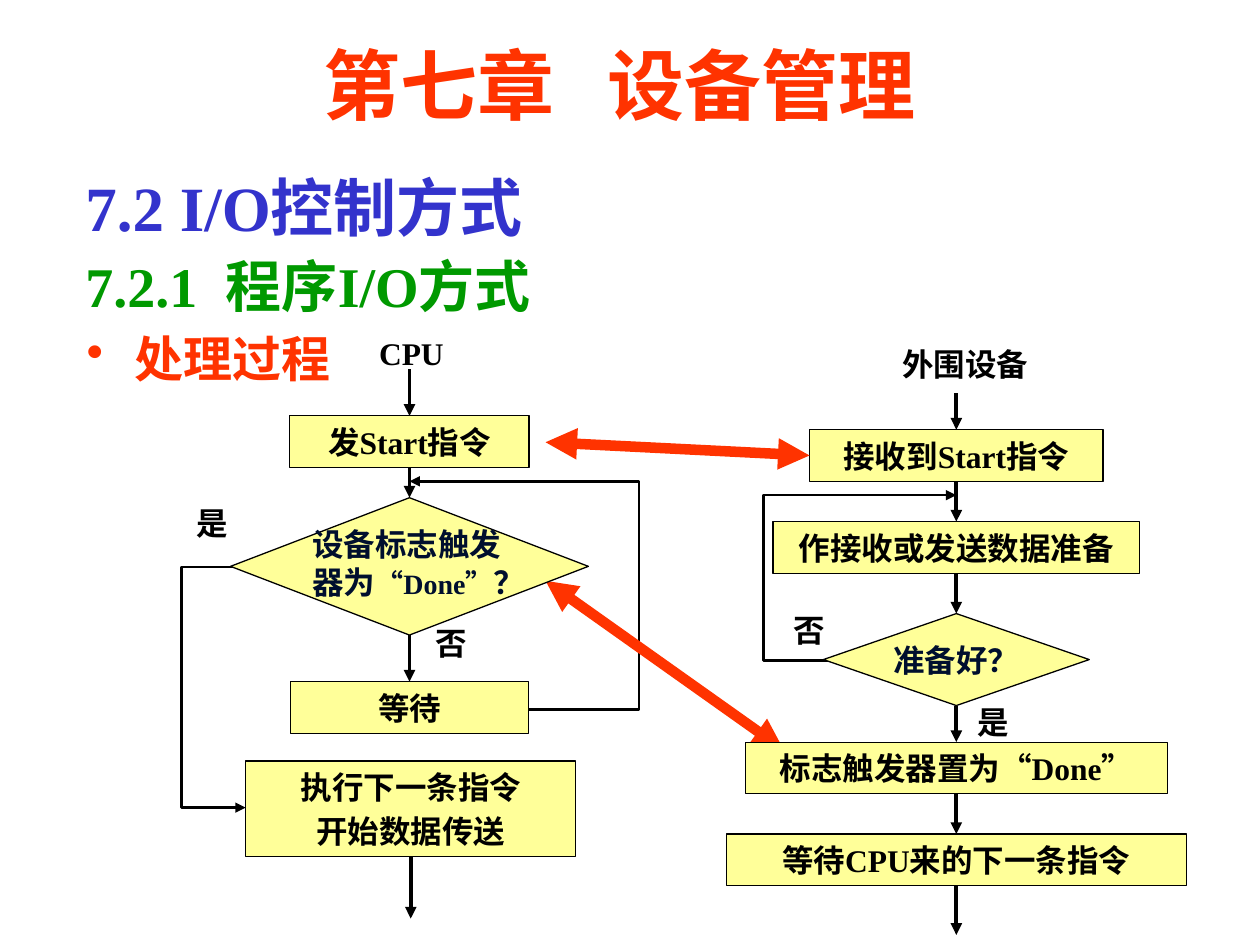
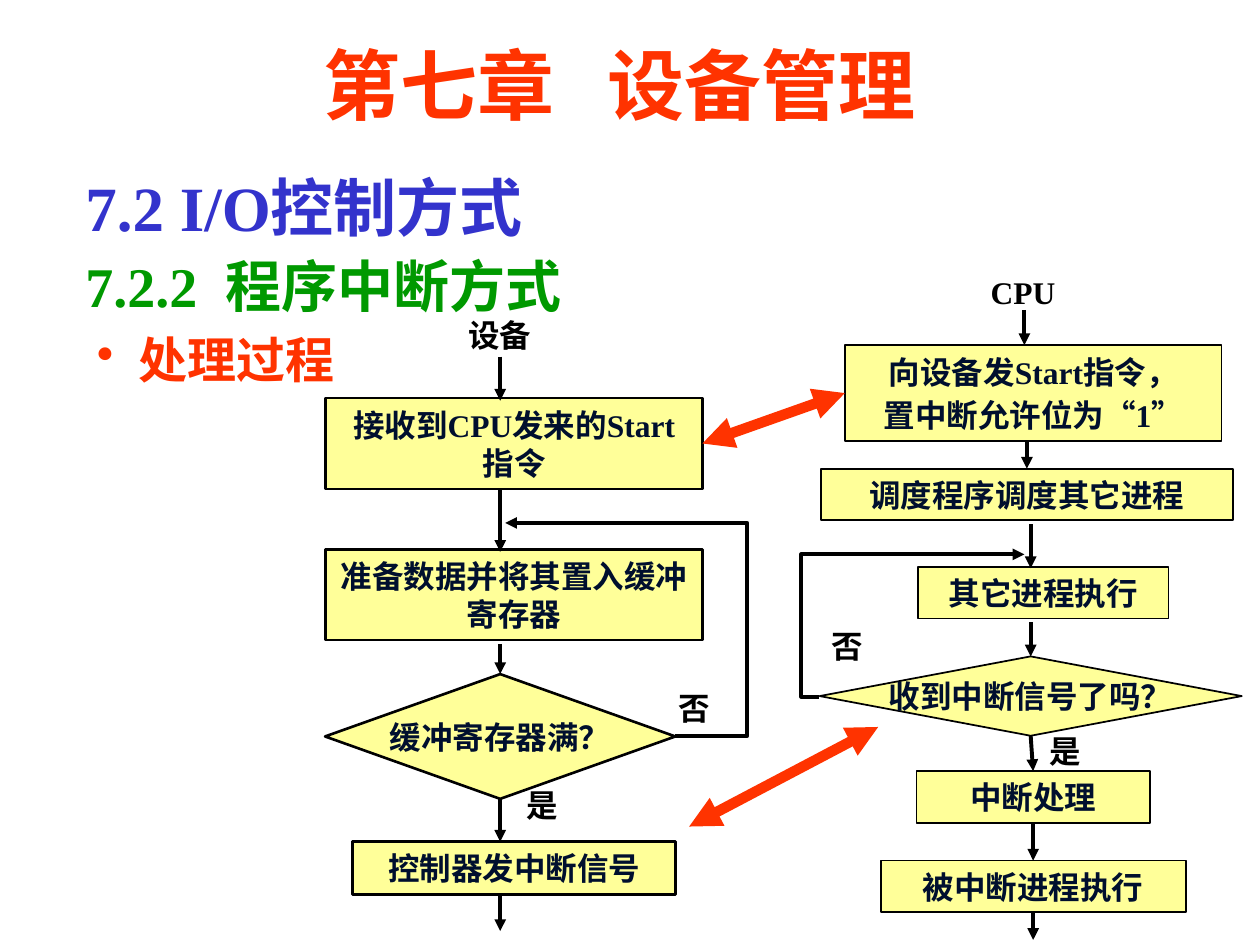
from lxml import etree
from pptx import Presentation
from pptx.dml.color import RGBColor
from pptx.enum import shapes, text
from pptx.oxml.ns import qn
from pptx.util import Inches, Pt

BLACK, NAVY, RED = "000000", "000F2E", "FF3300"
BLUE, GREEN, CREAM = "3333CC", "009900", "FFFF99"
FONT = "Times New Roman"
TOP, LEFT, FOOT, RIGHT = range(4)  # connection sites
MID = text.PP_ALIGN.CENTER


def rgb(code):
    return RGBColor.from_string(code)


def add_run(par, words, size=18, hue=BLACK):
    run = par.add_run()
    run.text = words
    font = run.font
    font.name, font.size, font.bold = FONT, Pt(size), True
    font.color.rgb = rgb(hue)


def set_line(shape, width, hue=BLACK, head=False, tail=False):
    """Style an outline; head and tail are arrowheads at its start and end."""
    shape.line.color.rgb = rgb(hue)
    shape.line.width = Pt(width)
    for tag, shown in (("a:headEnd", head), ("a:tailEnd", tail)):
        if shown:
            etree.SubElement(shape.line._get_or_add_ln(), qn(tag), type="triangle")


class Board:
    def __init__(self):
        self.deck = Presentation()
        self.deck.slide_width, self.deck.slide_height = Inches(10), Inches(7.5)

    def start(self, topic, left, top, indent):
        """Open a slide with the chapter title, section heads and bullet."""
        self.slide = self.deck.slides.add_slide(self.deck.slide_layouts[5])
        self.items = self.slide.shapes
        title = self.items.title
        title.left, title.top = Inches(1.17), Inches(0.25)
        title.width, title.height = Inches(7.5), Inches(0.83)
        frame = title.text_frame
        frame.auto_size = text.MSO_AUTO_SIZE.NONE
        frame.vertical_anchor = text.MSO_ANCHOR.MIDDLE
        par = frame.paragraphs[0]
        par.alignment = MID
        add_run(par, "第七章   设备管理", 44, RED)

        par = self.area(0.58, 1.23, 8.75, 1.35)
        par.line_spacing = 1.1
        add_run(par, "7.2 I/O控制方式", 36, BLUE)
        par.add_line_break()
        add_run(par, topic, 32, GREEN)

        par = self.area(left, top, 2.14, 0.57)
        props = par._p.get_or_add_pPr()
        props.set("marL", str(Inches(indent)))
        props.set("indent", str(-Inches(indent)))
        etree.SubElement(props, qn("a:buChar"), char="•")
        add_run(par, "处理过程", 28, RED)

    def area(self, left, top, wide, high, pad=None):
        """Add a wrapped text box and return its first paragraph."""
        spot = self.items.add_textbox(*map(Inches, (left, top, wide, high)))
        frame = spot.text_frame
        frame.word_wrap = True
        if pad is not None:
            frame.margin_left = frame.margin_right = Inches(pad)
            frame.margin_top = frame.margin_bottom = Inches(pad)
        return frame.paragraphs[0]

    def label(self, left, top, wide, words, align=None):
        par = self.area(left, top, wide, 0.4)
        par.alignment = align
        add_run(par, words)

    def node(self, kind, mid, top, wide, high, lines, edge, ink):
        """Add a filled shape centred on the column at mid."""
        shape = self.items.add_shape(
            kind, *map(Inches, (mid - wide / 2, top, wide, high)))
        shape.shadow.inherit = False
        shape.fill.solid()
        shape.fill.fore_color.rgb = rgb(CREAM)
        set_line(shape, edge)
        frame = shape.text_frame
        frame.word_wrap = kind == shapes.MSO_SHAPE.RECTANGLE
        frame.vertical_anchor = text.MSO_ANCHOR.MIDDLE
        for num, words in enumerate(lines):
            par = frame.add_paragraph() if num else frame.paragraphs[0]
            par.alignment = MID
            if num:
                par.space_before = Pt(3)
            add_run(par, words, hue=ink)
        return shape

    def box(self, mid, top, wide, *lines, high=0.41, edge=0.75, ink=BLACK):
        kind = shapes.MSO_SHAPE.RECTANGLE
        return self.node(kind, mid, top, wide, high, lines, edge, ink)

    def ask(self, mid, top, wide, high, *lines, edge=0.75):
        kind = shapes.MSO_SHAPE.DIAMOND
        return self.node(kind, mid, top, wide, high, lines, edge, NAVY)

    def arrow(self, begin, end, width=2.25, hue=BLACK, both=False):
        """Draw an arrow; each end is a point (x, y) or a pair (shape, site)."""
        ends = [(0, 0) if hasattr(a, "text_frame") else (a, b)
                for a, b in (begin, end)]
        line = self.items.add_connector(
            shapes.MSO_CONNECTOR.STRAIGHT,
            *(Inches(v) for point in ends for v in point))
        if hasattr(begin[0], "text_frame"):
            line.begin_connect(*begin)
        if hasattr(end[0], "text_frame"):
            line.end_connect(*end)
        set_line(line, width, hue, head=both, tail=True)
        etree.SubElement(line._element.spPr, qn("a:effectLst"))

    def signal(self, begin, end):
        self.arrow(begin, end, 6, RED, both=True)

    def chain(self, *nodes):
        for upper, lower in zip(nodes, nodes[1:]):
            self.arrow((upper, FOOT), (lower, TOP))

    def loop(self, begin, side, end, width=1.5):
        """Draw a three-part path that turns on the vertical at side."""
        points = [begin, (side, begin[1]), (side, end[1]), end]
        first, *rest = [(Inches(x), Inches(y)) for x, y in points]
        pen = self.items.build_freeform(*first)
        pen.add_line_segments(rest, close=False)
        shape = pen.convert_to_shape()
        shape.shadow.inherit = False
        shape.fill.background()
        set_line(shape, width, tail=True)


def polling(board):
    board.start("7.2.1  程序I/O方式", 0.59, 2.56, 0.38)
    cpu, dev = 3.25, 7.59
    board.loop((4.19, 5.63), 5.07, (cpu, 3.82))
    board.loop((6.57, 5.24), 6.06, (dev, 3.93))
    board.loop((1.85, 4.5), 1.44, (1.95, 6.41))
    board.signal((4.33, 4.61), (6.22, 5.95))

    send = board.box(cpu, 3.3, 1.9, "发Start指令")
    done = board.ask(cpu, 3.95, 2.84, 1.09)
    wait = board.box(cpu, 5.41, 1.89, "等待")
    move = board.box(3.26, 6.04, 2.62, "执行下一条指令", "开始数据传送", high=0.76)
    par = board.area(2.48, 4.17, 1.68, 0.6, pad=0)
    for words, size in (("设备标志触发器为", 18), ("“Done”", 16), ("？", 18)):
        add_run(par, words, size, NAVY)

    take = board.box(dev, 3.41, 2.33, "接收到Start指令")
    prep = board.box(dev, 4.14, 2.91, "作接收或发送数据准备")
    fit = board.ask(dev, 4.87, 2.11, 0.73, "准备好？")
    flag = board.box(dev, 5.89, 3.35, "标志触发器置为“Done”")
    idle = board.box(dev, 6.62, 3.65, "等待CPU来的下一条指令")

    board.arrow((cpu, 2.93), (send, TOP))
    board.chain(send, done, wait)
    board.arrow((move, FOOT), (3.26, 7.29))
    board.arrow((dev, 3.12), (take, TOP))
    board.chain(take, prep, fit, flag, idle)
    board.arrow((idle, FOOT), (dev, 7.42))
    board.signal((4.33, 3.51), (take, LEFT))

    board.label(2.72, 2.6, 1.09, "CPU", MID)
    board.label(6.93, 2.69, 1.46, "外围设备", MID)
    board.label(3.36, 4.9, 0.58, "否")
    board.label(1.46, 3.95, 0.51, "是")
    board.label(7.66, 5.53, 0.51, "是")
    board.label(6.2, 4.8, 0.58, "否")


def interrupt(board):
    board.start("7.2.2  程序中断方式", 0.67, 2.57, 0.33)
    dev, cpu = 3.97, 8.2
    board.loop((5.36, 5.84), 5.93, (4.01, 4.15), 2.25)
    board.loop((6.5, 5.53), 6.36, (8.13, 4.4), 2.25)

    thick = dict(edge=1.5, ink=NAVY)
    take = board.box(4.08, 3.16, 2.99, "接收到CPU发来的Start指令", high=0.72, **thick)
    board.box(4.08, 4.36, 2.99, "准备数据并将其置入缓冲寄存器", high=0.72, **thick)
    full = board.ask(dev, 5.35, 2.78, 0.99, "缓冲寄存器满？", edge=1.5)
    board.box(4.08, 6.68, 2.56, "控制器发中断信号", high=0.42, **thick)

    thin = dict(edge=1, ink=NAVY)
    send = board.box(cpu, 2.74, 2.99, "向设备发Start指令，", "置中断允许位为“1”",
                     high=0.76, **thin)
    plan = board.box(8.15, 3.72, 3.27, "调度程序调度其它进程", **thin)
    board.box(8.28, 4.5, 1.99, "其它进程执行", **thin)
    heard = board.ask(8.18, 5.21, 3.35, 0.63, "收到中断信号了吗？", edge=1)
    serve = board.box(cpu, 6.12, 1.85, "中断处理", **thin)
    back = board.box(cpu, 6.83, 2.42, "被中断进程执行", **thin)

    board.arrow((dev, 2.83), (dev, 3.18))
    board.arrow((dev, 3.88), (dev, 4.38))
    board.arrow((dev, 5.11), (full, TOP))
    board.arrow((full, FOOT), (dev, 6.68))
    board.arrow((dev, 7.11), (dev, 7.39))
    board.arrow((8.13, 2.46), (8.13, 2.74))
    board.arrow((8.15, 3.5), (plan, TOP))
    board.arrow((8.18, 4.16), (8.18, 4.51))
    board.arrow((8.18, 4.94), (heard, TOP))
    board.chain(heard, serve, back)
    board.arrow((back, FOOT), (cpu, 7.46))
    board.signal((5.47, 6.56), (6.97, 5.77))
    board.signal((take, RIGHT), (send, LEFT))

    board.label(3.43, 2.46, 1.07, "设备", MID)
    board.label(7.41, 2.12, 1.42, "CPU", MID)
    board.label(4.08, 6.19, 0.57, "是")
    board.label(5.29, 5.42, 0.5, "否")
    board.label(8.23, 5.76, 0.5, "是")
    board.label(6.5, 4.93, 0.57, "否")


def main():
    board = Board()
    polling(board)
    interrupt(board)
    board.deck.save("out.pptx")


if __name__ == "__main__":
    main()
